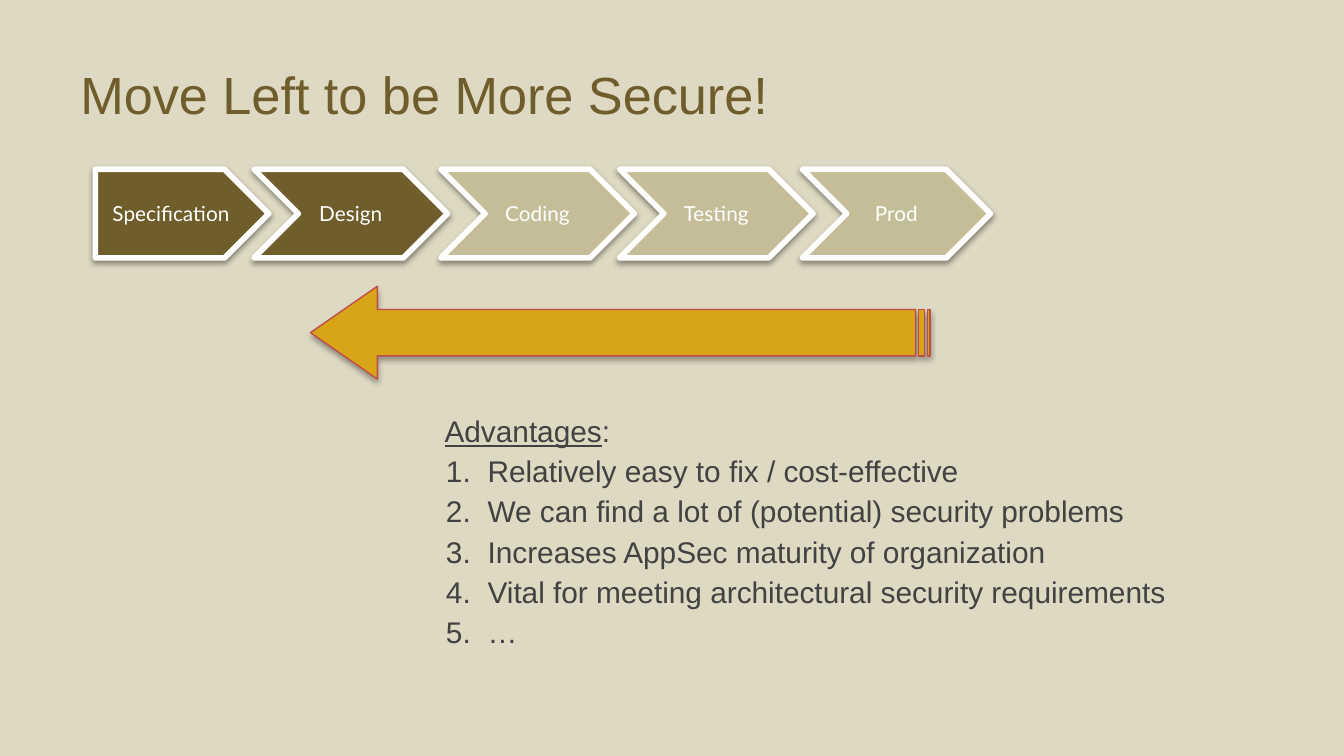
import pptx
import pptx.util
import pptx.dml.color
import pptx.enum.shapes
import pptx.enum.text
from lxml import etree
from pptx.oxml.ns import qn

# Content
TITLE = "Move Left to be More Secure!"
HEAD = "Advantages"
ITEMS = [
    "Relatively easy to fix / cost-effective",
    "We can find a lot of (potential) security problems",
    "Increases AppSec maturity of organization",
    "Vital for meeting architectural security requirements",
    "…",
]
# Phase name, preset, fill, left and width in percent of the slide width
STEPS = [
    ("Specification", "PENTAGON", "brown", 7.1, 12.9),
    ("Design", "CHEVRON", "brown", 18.9, 14.4),
    ("Coding", "CHEVRON", "tan", 32.8, 14.4),
    ("Testing", "CHEVRON", "tan", 46.1, 14.4),
    ("Prod", "CHEVRON", "tan", 59.7, 14),
]

# Format
WIDE = 10
HIGH = WIDE * 9 / 16
HUES = {"back": "DDD9C3", "brown": "6F5D2B", "tan": "C4BD97", "gold": "D8A519",
        "red": "BF4C48", "gray": "424242", "white": "FFFFFF", "black": "000000"}
FONTS = {
    "title": {"name": "Arial", "size": 28, "color": "brown"},
    "list": {"name": "Arial", "size": 16, "color": "gray"},
    "step": {"name": "Lato", "size": 11.1, "color": "white"},
}
MIDDLE = pptx.enum.text.MSO_ANCHOR.MIDDLE
CENTER = pptx.enum.text.PP_ALIGN.CENTER
KINDS = pptx.enum.shapes.MSO_SHAPE
Inches, Pt = pptx.util.Inches, pptx.util.Pt


def hue(name):
    return pptx.dml.color.RGBColor.from_string(HUES[name])


def box(*spot):
    return [Inches(n) for n in spot]


def write(para, text, style, **more):
    run = para.add_run()
    run.text = text
    for key, val in {**FONTS[style], **more}.items():
        if key == "color":
            run.font.color.rgb = hue(val)
        else:
            setattr(run.font, key, Pt(val) if key == "size" else val)


def frame(*spot):
    text = slide.shapes.add_textbox(*box(*spot)).text_frame
    text.word_wrap = True
    return text


def draw(kind, spot, fill, line, width, alpha, dist):
    shape = slide.shapes.add_shape(getattr(KINDS, kind), *box(*spot))
    shape.fill.solid()
    shape.fill.fore_color.rgb = hue(fill)
    shape.line.color.rgb = hue(line)
    shape.line.width = Pt(width)
    # Soft shadow straight below
    shape.shadow.inherit = False
    glow = shape.element.spPr.find(qn("a:effectLst"))
    drop = etree.SubElement(glow, qn("a:outerShdw"), blurRad=str(Pt(3.1)),
                            dist=str(Pt(dist)), dir="5400000", rotWithShape="0")
    tint = etree.SubElement(drop, qn("a:srgbClr"), val=HUES["black"])
    etree.SubElement(tint, qn("a:alpha"), val=str(alpha * 1000))
    return shape


def indent(para, left, hang):
    para.space_before = Pt(2.4)
    props = para._p.get_or_add_pPr()
    props.set("marL", str(Inches(left)))
    props.set("indent", str(Inches(hang)))
    return props


# Slide
deck = pptx.Presentation()
deck.slide_width, deck.slide_height = box(WIDE, HIGH)
slide = deck.slides.add_slide(deck.slide_layouts[6])
slide.background.fill.solid()
slide.background.fill.fore_color.rgb = hue("back")

# Title
head = frame(0.05 * WIDE, 0.23, 0.9 * WIDE, 0.94)
head.vertical_anchor = MIDDLE
write(head.paragraphs[0], TITLE, "title")

# Numbered list
body = frame(2.76, 3.02, 0.9 * WIDE, 1.89)
para = body.paragraphs[0]
indent(para, 0.45, 0)
write(para, HEAD, "list", underline=True)
write(para, ":", "list")
for item in ITEMS:
    para = body.add_paragraph()
    props = indent(para, 0.77, -0.31)
    etree.SubElement(props, qn("a:buFont"), typeface="Arial")
    etree.SubElement(props, qn("a:buAutoNum"), type="arabicPeriod")
    write(para, item, "list")

# Phases
for name, kind, fill, left, width in STEPS:
    spot = (left * WIDE / 100, 1.26, width * WIDE / 100, 0.66)
    step = draw(kind, spot, fill, "white", 3, 38, 1.6)
    step.text_frame.vertical_anchor = MIDDLE
    para = step.text_frame.paragraphs[0]
    para.alignment = CENTER
    write(para, name, "step")

# Arrow to the left
arrow = draw("STRIPED_RIGHT_ARROW", (2.31, 2.13, 4.61, 0.69), "gold", "red", 0.75, 35, 1.8)
arrow.rotation = 180
arrow.adjustments[0], arrow.adjustments[1] = 0.5, 0.72

deck.save("out.pptx")
